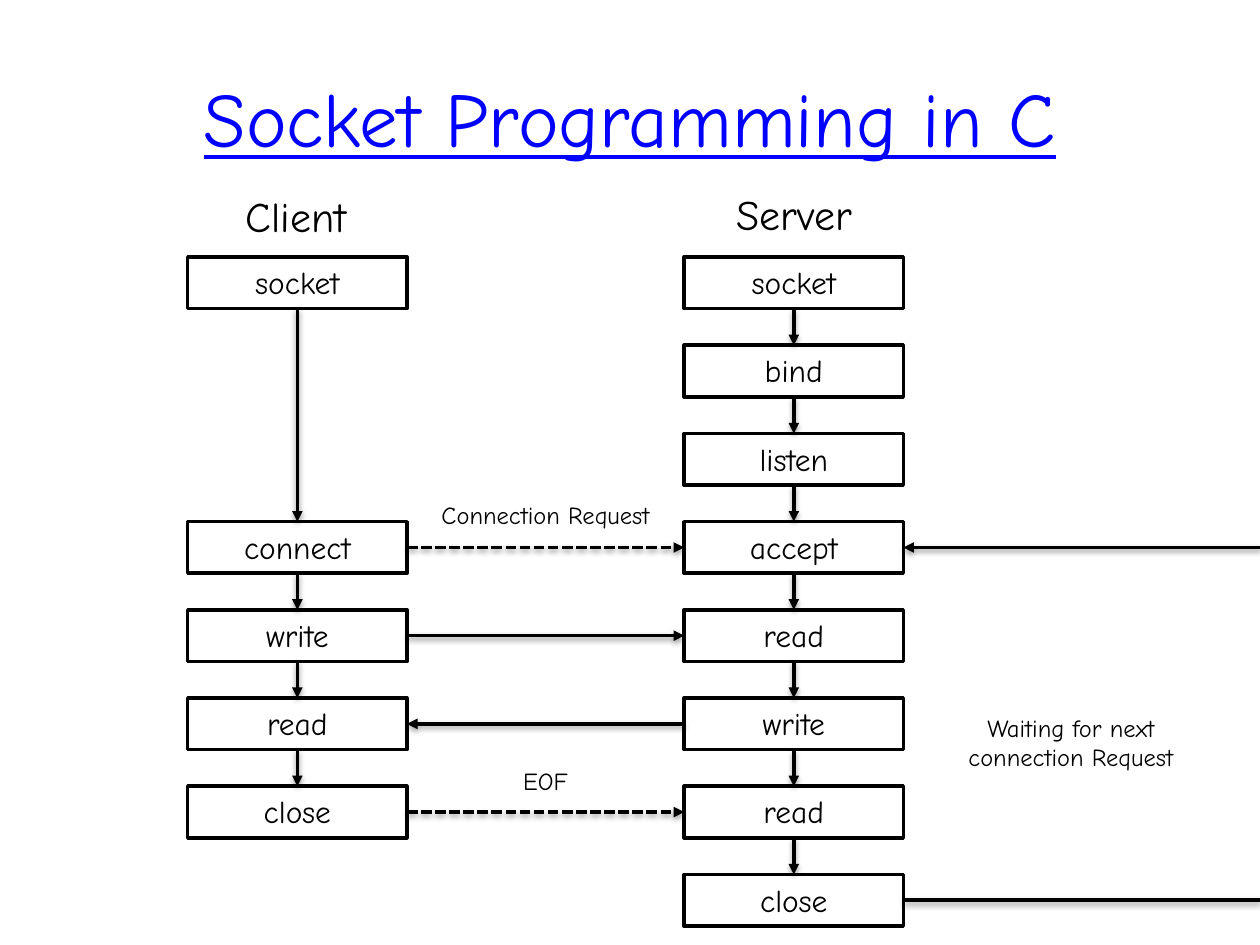
from dataclasses import dataclass
from itertools import pairwise

from lxml import etree
from pptx import Presentation, util as u
from pptx.dml.color import RGBColor
from pptx.enum import dml, shapes, text
from pptx.oxml import ns

TOP, LEFT, BOTTOM, RIGHT = range(4)
SHADOW = (
    '<a:effectLst xmlns:a="http://schemas.openxmlformats.org/drawingml/2006/main">'
    '<a:outerShdw blurRad="40000" dist="20000" dir="5400000" rotWithShape="0">'
    '<a:srgbClr val="000000"><a:alpha val="38000"/></a:srgbClr>'
    '</a:outerShdw></a:effectLst>'
)


@dataclass(frozen=True)
class Theme:
    font: str = "Comic Neue"
    ink: RGBColor = RGBColor(0, 0, 0)
    paper: RGBColor = RGBColor(255, 255, 255)
    accent: RGBColor = RGBColor(0, 0, 255)
    title: int = 44
    heading: int = 24
    step: int = 18
    note: int = 14
    line: int = 2


@dataclass(frozen=True)
class Grid:
    left: float = 1.49
    top: float = 2.04
    column: float = 3.94
    row: float = 0.7
    width: float = 1.74
    height: float = 0.41

    def cell(self, column, row):
        return (self.left + column * self.column, self.top + row * self.row,
                self.width, self.height)


class FlowPage:
    def __init__(self, deck, theme, grid):
        self.deck, self.theme, self.grid = deck, theme, grid
        self.page = deck.slides.add_slide(deck.slide_layouts[5])

    def set_text(self, box, lines, size, color=None, underline=None, **frame_format):
        frame = box.text_frame
        frame.text = "\n".join(lines)
        for name, value in frame_format.items():
            setattr(frame, name, value)
        font_format = {"name": self.theme.font, "size": u.Pt(size),
                       "underline": underline}
        for para in frame.paragraphs:
            para.alignment = text.PP_ALIGN.CENTER
            for span in para.runs:
                for name, value in font_format.items():
                    setattr(span.font, name, value)
                span.font.color.rgb = color or self.theme.ink

    def title(self, words, **shares):
        box = self.page.shapes.title
        for name, share in shares.items():
            across = name in ("left", "width")
            whole = self.deck.slide_width if across else self.deck.slide_height
            setattr(box, name, round(share * whole))
        self.set_text(box, [words], self.theme.title, self.theme.accent, True,
                      vertical_anchor=text.MSO_ANCHOR.MIDDLE)

    def label(self, lines, place, size, anchor=text.MSO_ANCHOR.TOP):
        box = self.page.shapes.add_textbox(*map(u.Inches, place))
        self.set_text(box, lines, size, word_wrap=False, vertical_anchor=anchor,
                      auto_size=text.MSO_AUTO_SIZE.SHAPE_TO_FIT_TEXT)

    def step(self, words, column, row):
        place = map(u.Inches, self.grid.cell(column, row))
        box = self.page.shapes.add_shape(shapes.MSO_SHAPE.RECTANGLE, *place)
        box.shadow.inherit = False
        box.fill.solid()
        box.fill.fore_color.rgb = self.theme.paper
        box.line.color.rgb = self.theme.ink
        box.line.width = u.Pt(self.theme.line)
        self.set_text(box, [words], self.theme.step,
                      vertical_anchor=text.MSO_ANCHOR.TOP,
                      auto_size=text.MSO_AUTO_SIZE.SHAPE_TO_FIT_TEXT)
        return box

    def link(self, start=None, end=None, dashed=False, head=True):
        anchor_box = (start or end)[0]
        edge = (self.deck.slide_width, anchor_box.top + anchor_box.height // 2)
        line = self.page.shapes.add_connector(
            shapes.MSO_CONNECTOR.STRAIGHT, *edge, *edge)
        if start:
            line.begin_connect(*start)
        if end:
            line.end_connect(*end)
        line.line.color.rgb = self.theme.ink
        line.line.width = u.Pt(self.theme.line)
        if dashed:
            line.line.dash_style = dml.MSO_LINE.SQUARE_DOT
        properties = line._element.spPr
        if head:
            etree.SubElement(properties.find(ns.qn("a:ln")),
                             ns.qn("a:tailEnd"), type="triangle")
        properties.append(etree.fromstring(SHADOW))


def main():
    deck = Presentation()
    deck.slide_width, deck.slide_height = u.Inches(10), u.Inches(7.5)
    theme = Theme()
    flow = FlowPage(deck, theme, Grid())
    flow.title("Socket Programming in C", left=0.05, top=0.04, width=0.9, height=1 / 6)

    for words, place in (("Client", (1.8, 1.46, 1.1, 0.5)),
                         ("Server", (5.66, 1.45, 1.29, 0.5))):
        flow.label([words], place, theme.heading, text.MSO_ANCHOR.MIDDLE)

    columns = (
        {0: "socket", 3: "connect", 4: "write", 5: "read", 6: "close"},
        dict(enumerate(("socket", "bind", "listen", "accept",
                        "read", "write", "read", "close"))),
    )
    client, server = (
        {row: flow.step(words, column, row) for row, words in steps.items()}
        for column, steps in enumerate(columns)
    )

    for steps in (client, server):
        for upper, lower in pairwise(steps.values()):
            flow.link((upper, BOTTOM), (lower, TOP))

    for row, dashed in ((3, True), (4, False), (6, True)):
        flow.link((client[row], RIGHT), (server[row], LEFT), dashed)
    flow.link((server[5], LEFT), (client[5], RIGHT))
    flow.link(start=(server[7], RIGHT), head=False)
    flow.link(end=(server[3], RIGHT))

    for lines, place in (
        (["Connection Request"], (3.34, 3.92, 1.98, 0.34)),
        (["EOF"], (4.03, 6.03, 0.6, 0.34)),
        (["Waiting for next", "connection Request"], (7.52, 5.61, 1.96, 0.57)),
    ):
        flow.label(lines, place, theme.note)

    deck.save("out.pptx")


if __name__ == "__main__":
    main()
